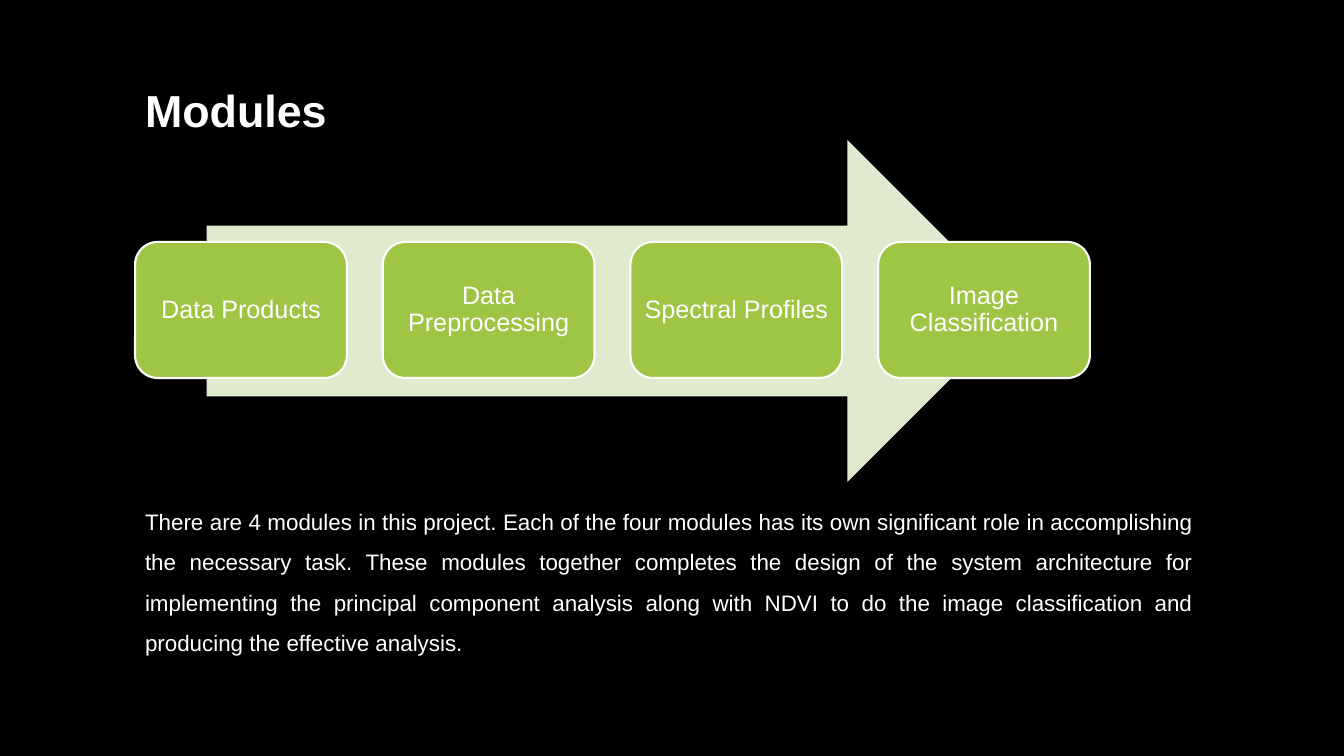
"""Build the Modules slide: four process steps on an arrow."""
from dataclasses import dataclass

from pptx import Presentation
from pptx import util as u
from pptx.dml.color import RGBColor
from pptx.enum import shapes, text


@dataclass(frozen=True)
class Theme:
    font: str = "Arial"
    background: str = "000000"
    ink: str = "FFFFFF"
    arrow: str = "DFEACF"
    module: str = "9EC544"
    title_size: int = 32
    module_size: int = 18
    body_size: int = 16


THEME = Theme()
MODULES = ["Data Products", "Data Preprocessing", "Spectral Profiles", "Image Classification"]
SUMMARY = (
    "There are 4 modules in this project. Each of the four modules has its own significant "
    "role in accomplishing the necessary task. These modules together completes the design "
    "of the system architecture for implementing the principal component analysis along with "
    "NDVI to do the image classification and producing the effective analysis."
)


def inches(*lengths):
    return [u.Inches(length) for length in lengths]


def set_text(sp, content, size, bold=False, align=text.PP_ALIGN.LEFT,
             anchor=text.MSO_ANCHOR.TOP, spacing=0.9, before=0, insets=(0.1, 0.05)):
    tf = sp.text_frame
    tf.word_wrap = True
    tf.vertical_anchor = anchor
    tf.margin_left = tf.margin_right = u.Inches(insets[0])
    tf.margin_top = tf.margin_bottom = u.Inches(insets[1])
    p = tf.paragraphs[0]
    p.alignment = align
    p.line_spacing = spacing
    p.space_before = u.Pt(before)
    r = p.add_run()
    r.text = content
    r.font.name = THEME.font
    r.font.size = u.Pt(size)
    r.font.bold = bold
    r.font.color.rgb = RGBColor.from_string(THEME.ink)


def add_text(s, box, content, size, **options):
    set_text(s.shapes.add_textbox(*inches(*box)), content, size, **options)


def add_block(s, kind, box, fill, line=None):
    sp = s.shapes.add_shape(kind, *inches(*box))
    sp.shadow.inherit = False
    sp.fill.solid()
    sp.fill.fore_color.rgb = RGBColor.from_string(fill)
    if line:
        sp.line.color.rgb = RGBColor.from_string(line)
        sp.line.width = u.Pt(1.5)
    else:
        sp.line.fill.background()
    return sp


def add_modules(s, names, first_left=1.34, last_left=8.71):
    pitch = (last_left - first_left) / (len(names) - 1)
    for i, name in enumerate(names):
        sp = add_block(s, shapes.MSO_SHAPE.ROUNDED_RECTANGLE,
                       (first_left + i * pitch, 2.4, 2.1, 1.35), THEME.module, THEME.ink)
        set_text(sp, name, THEME.module_size, align=text.PP_ALIGN.CENTER,
                 anchor=text.MSO_ANCHOR.MIDDLE, insets=(0.06, 0.07))


def main():
    prs = Presentation()
    prs.slide_width, prs.slide_height = inches(13.33, 7.5)
    s = prs.slides.add_slide(prs.slide_layouts[6])
    s.background.fill.solid()
    s.background.fill.fore_color.rgb = RGBColor.from_string(THEME.background)
    add_text(s, (1.34, 0.5, 10, 0.91), "Modules", THEME.title_size, bold=True,
             anchor=text.MSO_ANCHOR.BOTTOM)
    add_text(s, (1.34, 4.86, 10.59, 1.8), SUMMARY, THEME.body_size,
             align=text.PP_ALIGN.JUSTIFY, spacing=1.5, before=10)
    add_block(s, shapes.MSO_SHAPE.RIGHT_ARROW, (2.05, 1.39, 8.05, 3.39), THEME.arrow)
    add_modules(s, MODULES)
    prs.save("out.pptx")


if __name__ == "__main__":
    main()
